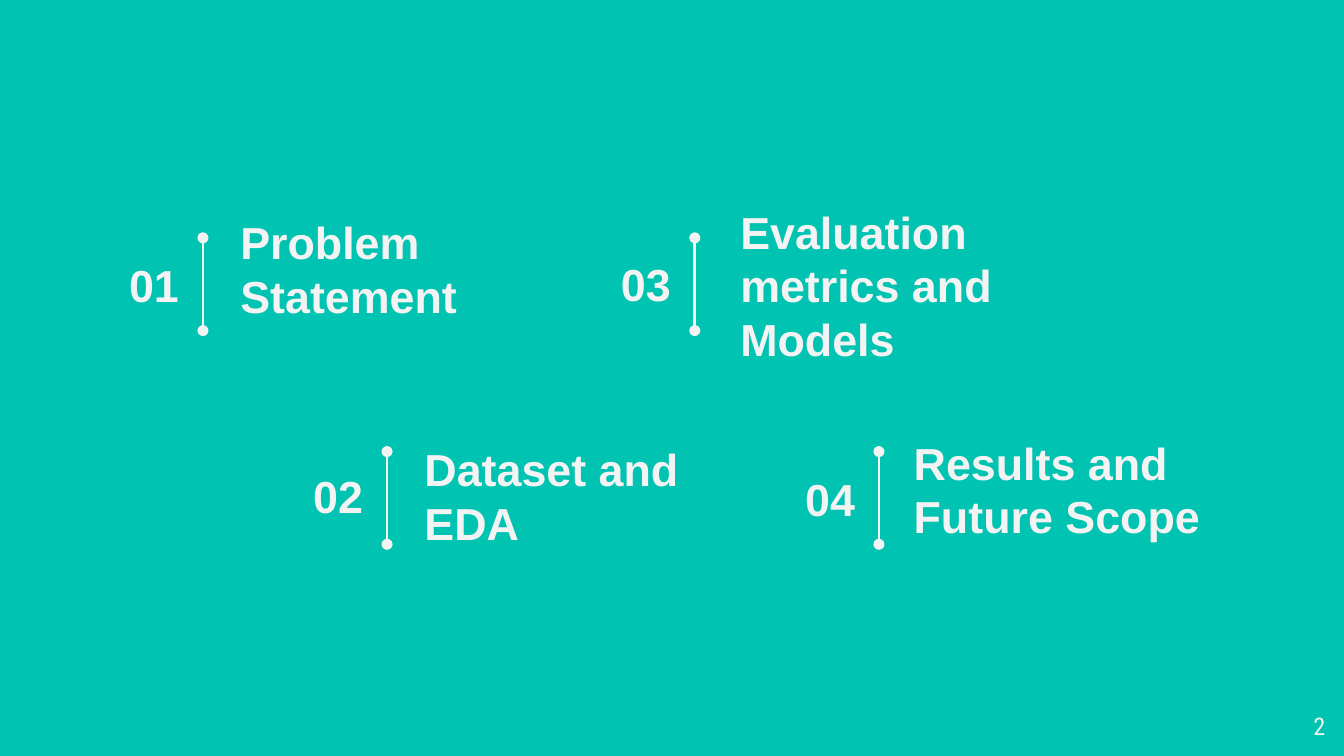
from lxml import etree
from pptx import Presentation, util as u
from pptx.dml.color import RGBColor
from pptx.enum import shapes, text
from pptx.oxml import ns

TEAL = RGBColor(0x00, 0xC3, 0xB1)
PALE = RGBColor(0xF3, 0xF3, 0xF3)

# Grid of dividers: two columns, the second row shifted right
LEFT, TOP = 1.51, 1.77
COLUMN, ROW, SHIFT = 3.66, 1.59, 1.37
DIVIDER, LABEL_HEIGHT = 0.69, 0.46

# Widescreen slide, 16:9
presentation = Presentation()
presentation.slide_width = u.Inches(10)
presentation.slide_height = u.Inches(10 * 9 / 16)
slide = presentation.slides.add_slide(presentation.slide_layouts[6])
slide.background.fill.solid()
slide.background.fill.fore_color.rgb = TEAL


def add_label(words, left, top, width, height, align, font="Arial", size=24, bold=True,
              anchor=text.MSO_ANCHOR.MIDDLE):
    box = slide.shapes.add_textbox(*map(u.Inches, (left, top, width, height)))
    frame = box.text_frame
    frame.word_wrap = True
    frame.vertical_anchor = anchor
    frame.margin_left = frame.margin_right = u.Inches(0.1)
    frame.margin_top = frame.margin_bottom = u.Inches(0.1)
    paragraph = frame.paragraphs[0]
    paragraph.text = words
    paragraph.alignment = align
    paragraph.font.name = font
    paragraph.font.size = u.Pt(size)
    paragraph.font.bold = bold
    paragraph.font.color.rgb = PALE


# Agenda: heading, column, row, number drop, heading gap and drop from the divider
agenda = [
    ("Problem Statement", 0, 0, 0.12, 0.18, 0),
    ("Dataset and EDA", 0, 1, 0.1, 0.18, 0.1),
    ("Evaluation metrics and Models", 1, 0, 0.11, 0.24, 0.12),
    ("Results and Future Scope", 1, 1, 0.12, 0.16, 0.05),
]
for number, (heading, column, row, number_drop, gap, drop) in enumerate(agenda, 1):
    x = LEFT + column * COLUMN + row * SHIFT
    y = TOP + row * ROW
    add_label(heading, x + gap, y + drop, 2.56, LABEL_HEIGHT, text.PP_ALIGN.LEFT)
    add_label(f"{number:02}", x - 0.74, y + number_drop, 0.66, LABEL_HEIGHT,
              text.PP_ALIGN.RIGHT)

    # Divider with round ends
    divider = slide.shapes.add_connector(
        shapes.MSO_CONNECTOR.STRAIGHT, *map(u.Inches, (x, y, x, y + DIVIDER)))
    divider.line.color.rgb = PALE
    divider.line.width = u.Pt(1.5)
    outline = divider.line._get_or_add_ln()
    for end in ("a:headEnd", "a:tailEnd"):
        etree.SubElement(outline, ns.qn(end), type="oval", w="med", len="med")
    etree.SubElement(divider._element.spPr, ns.qn("a:effectLst"))

# Slide number
add_label("2", 9.36, 5.19, 0.6, 0.43, text.PP_ALIGN.RIGHT, "Roboto Condensed", 13,
          False, text.MSO_ANCHOR.TOP)

presentation.save("out.pptx")
